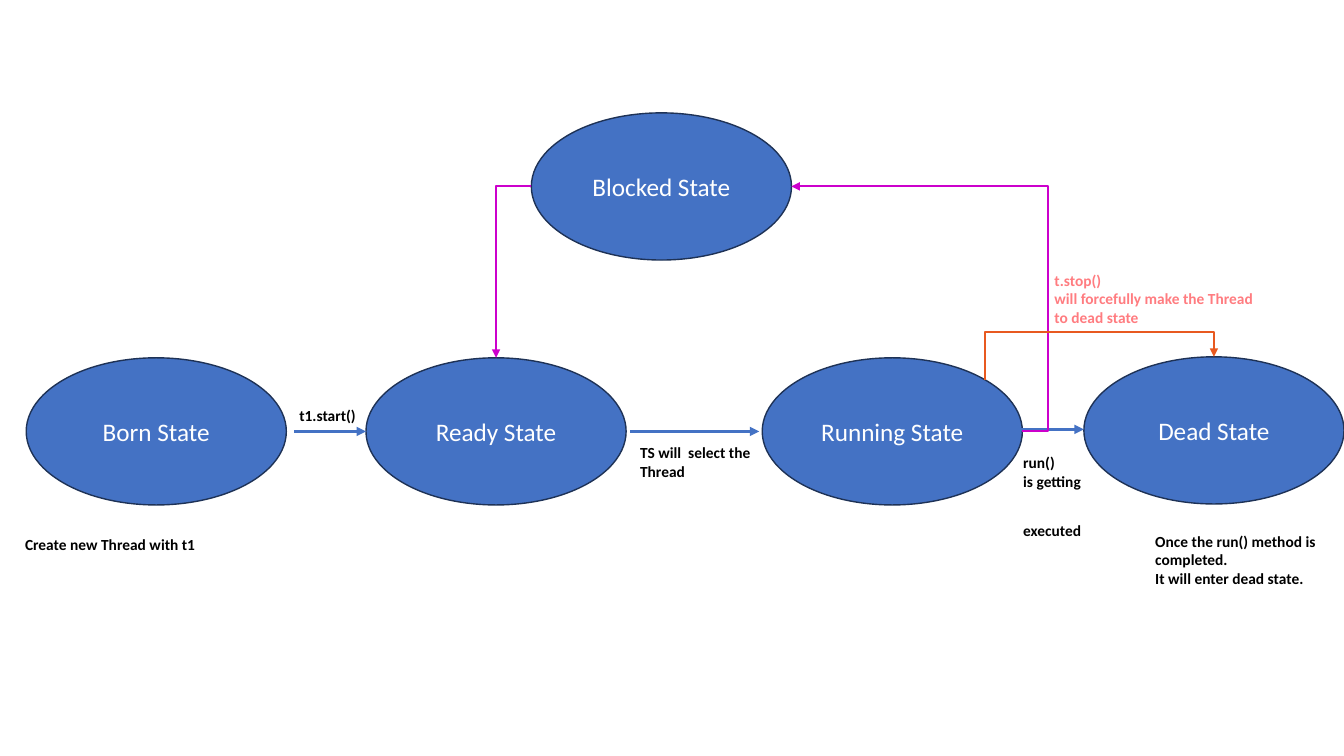
from pptx import Presentation
from pptx.dml.color import RGBColor
from pptx.enum.shapes import MSO_CONNECTOR, MSO_SHAPE
from pptx.enum.text import MSO_ANCHOR, PP_ALIGN
from pptx.oxml.ns import qn
from pptx.util import Inches, Pt
from lxml.etree import SubElement

HUES = {"blue": "4472C4", "edge": "1E3256", "pink": "CC00CC", "rust": "E85920",
        "rose": "FF7C80", "white": "FFFFFF", "black": "000000"}

# Content: states by left and top; notes by left, top, width and height
WIDE, HIGH = 2.58, 1.46
ROW = 3.55
STATES = {"Born": (0.26, ROW), "Ready": (3.63, ROW), "Running": (7.56, ROW),
          "Dead": (10.75, 3.54), "Blocked": (5.27, 1.12)}
NOTES = [
    ("Create new Thread with t1 ", 0.15, 5.26, 2.24, 0.29, "black"),
    ("t1.start()", 2.87, 3.98, 0.8, 0.29, "black"),
    ("TS will  select the \vThread", 6.25, 4.35, 1.99, 0.47, "black"),
    ("run()\vis getting \vexecuted", 10.05, 4.45, 0.8, 0.66, "black"),
    ("Once the run() method is completed.\vIt will enter dead state.",
     11.36, 5.23, 2.24, 0.66, "black"),
    ("t.stop() \vwill forcefully make the Thread to dead state",
     10.36, 2.64, 2.21, 0.66, "rose"),
]

deck = Presentation()
deck.slide_width, deck.slide_height = Inches(13.33), Inches(7.5)
slide = deck.slides.add_slide(deck.slide_layouts[6])
shapes = slide.shapes


def color(name):
    return RGBColor.from_string(HUES[name])


def write(shape, text, size, hue, bold=False):
    frame = shape.text_frame
    frame.word_wrap = True
    frame.text = text
    for run in frame.paragraphs[0].runs:
        run.font.name, run.font.size, run.font.bold = "Calibri", Pt(size), bold
        run.font.color.rgb = color(hue)
    return frame


def side(name, x, y):
    """Point of a state at shares x and y of its box."""
    left, top = STATES[name]
    return left + x * WIDE, top + y * HIGH


def arrow(start, end, hue, width, bend=None, adjust=None, upright=False):
    (x1, y1), (x2, y2) = start, end
    if upright:  # lay the box on its side, then turn it by a quarter
        mx, my = (x1 + x2) / 2, (y1 + y2) / 2
        x1, y1, x2, y2 = (mx + y1 - my, my + mx - x1,
                          mx + y2 - my, my + mx - x2)
    kind = MSO_CONNECTOR.ELBOW if bend else MSO_CONNECTOR.STRAIGHT
    link = shapes.add_connector(kind, *map(Inches, (x1, y1, x2, y2)))
    link.line.color.rgb, link.line.width = color(hue), Pt(width)
    props = link._element.spPr
    SubElement(props.find(qn("a:ln")), qn("a:tailEnd"), type="triangle")
    SubElement(props, qn("a:effectLst"))
    if upright:
        props.find(qn("a:xfrm")).set("rot", "5400000")
    if bend:
        geom = props.find(qn("a:prstGeom"))
        geom.set("prst", bend)
        if adjust is not None:
            guides = geom.find(qn("a:avLst"))
            if guides is None:
                guides = SubElement(geom, qn("a:avLst"))
            SubElement(guides, qn("a:gd"), name="adj1",
                       fmla=f"val {round(adjust * 100000)}")


# States
for name, (left, top) in STATES.items():
    oval = shapes.add_shape(MSO_SHAPE.OVAL, *map(Inches, (left, top, WIDE, HIGH)))
    oval.shadow.inherit = False
    oval.fill.solid()
    oval.fill.fore_color.rgb = color("blue")
    oval.line.color.rgb, oval.line.width = color("edge"), Pt(1)
    frame = write(oval, f"{name} State", 18, "white")
    frame.vertical_anchor = MSO_ANCHOR.MIDDLE
    frame.paragraphs[0].alignment = PP_ALIGN.CENTER

# Straight steps from state to state
mid = ROW + HIGH / 2
for start, end in [((2.92, mid), side("Ready", 0, 0.5)),
                   ((6.25, mid), (7.53, mid)),
                   ((10.04, 4.26), (10.75, 4.26))]:
    arrow(start, end, "blue", 2.25)

# Bent steps: into and out of blocked
arrow(side("Running", 1, 0.5), side("Blocked", 1, 0.5), "pink", 1.5,
      "bentConnector3", -0.11)
arrow(side("Blocked", 0, 0.5), side("Ready", 0.5, 0), "pink", 1.5,
      "bentConnector2")

# Notes, with the forced stop beneath its own
for text, left, top, wide, high, hue in NOTES:
    if hue == "rose":
        arrow(side("Running", 0.855, 0.15), side("Dead", 0.5, 0), "rust", 1.5,
              "bentConnector3", 2.09, upright=True)
    box = shapes.add_textbox(*map(Inches, (left, top, wide, high)))
    write(box, text, 11, hue, bold=True)

deck.save("out.pptx")
